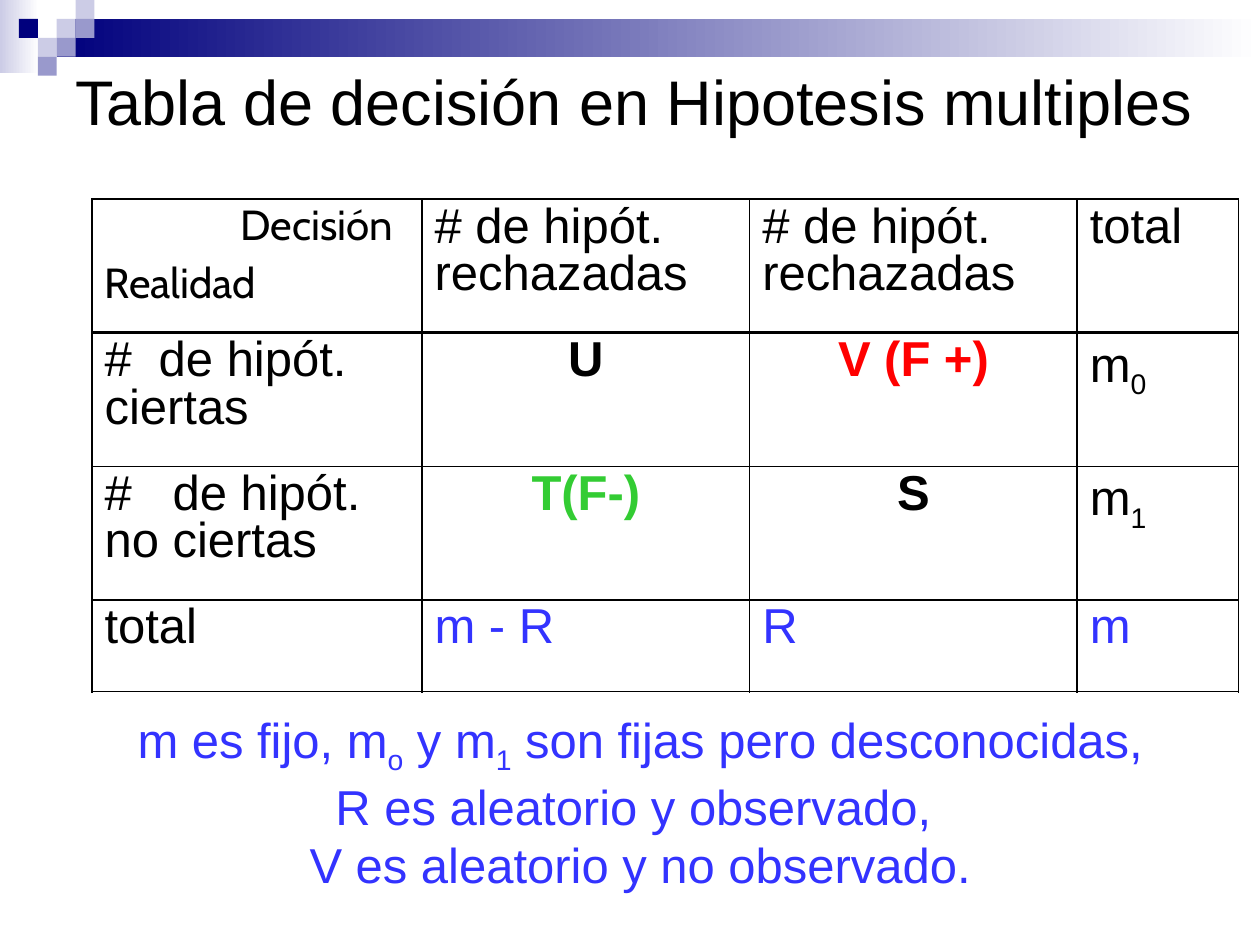
from lxml import etree
from pptx import Presentation
from pptx import util as u
from pptx.dml.color import RGBColor
from pptx.enum import shapes, text
from pptx.oxml import ns

BLACK = RGBColor(0x00, 0x00, 0x00)
WHITE = RGBColor(0xFF, 0xFF, 0xFF)
NAVY = RGBColor(0x00, 0x00, 0x7D)
LILAC = RGBColor(0xCC, 0xCC, 0xE6)
VIOLET = RGBColor(0x99, 0x99, 0xCC)
RED = RGBColor(0xFF, 0x00, 0x00)
GREEN = RGBColor(0x33, 0xCC, 0x33)
BLUE = RGBColor(0x33, 0x33, 0xFF)

deck = Presentation()
deck.slide_width, deck.slide_height = u.Inches(10), u.Inches(7.5)
page = deck.slides.add_slide(deck.slide_layouts[6])


def write(para, wording, color=BLACK, **changes):
    """Fill a paragraph; every second piece between underscores is a subscript."""
    looks = {"name": "Arial", "size": u.Pt(28), "bold": False} | changes
    for index, piece in enumerate(wording.split("_")):
        for position, line in enumerate(piece.split("\n")):
            if position:
                para.add_line_break()
            if not line:
                continue
            span = para.add_run()
            span.text = line
            span.font.color.rgb = color
            for key, value in looks.items():
                setattr(span.font, key, value)
            if index % 2:
                span.font._element.set("baseline", "-25000")


def add_block(left, top, width, height):
    """Add a borderless rectangle placed in inches."""
    block = page.shapes.add_shape(shapes.MSO_SHAPE.RECTANGLE,
                                  *map(u.Inches, (left, top, width, height)))
    block.shadow.inherit = False
    block.line.fill.background()
    return block


# Corner ornament on a grid of small squares
UNIT = 0.15
fades = [((0, 0, 0.31, 0.58), LILAC),
         ((3 * UNIT, UNIT, 10 - 3 * UNIT, 2 * UNIT), NAVY)]
for place, start in fades:
    fill = add_block(*place).fill
    fill.gradient()
    fill.gradient_angle = 0
    for stop, color in zip(fill.gradient_stops, (start, WHITE)):
        stop.color.rgb = color

squares = [(3, 1, LILAC), (4, 0, LILAC), (4, 1, VIOLET), (2, 2, LILAC),
           (1, 1, NAVY), (3, 2, VIOLET), (2, 3, VIOLET)]
for column, row, color in squares:
    fill = add_block(column * UNIT, row * UNIT, UNIT, UNIT).fill
    fill.solid()
    fill.fore_color.rgb = color

# Title and closing remark
remark = ("m es fijo, m_o_ y m_1_ son fijas pero desconocidas, "
          "R es aleatorio y observado, \nV es aleatorio y no observado.")
boxes = [
    ((0.5, 0.17, 9.15, 1.25), "Tabla de decisión en Hipotesis multiples",
     BLACK, 36, text.MSO_ANCHOR.MIDDLE, text.PP_ALIGN.LEFT),
    ((0.83, 5.58, 8.5, 1.57), remark,
     BLUE, 28, text.MSO_ANCHOR.TOP, text.PP_ALIGN.CENTER),
]
for place, wording, color, size, anchor, alignment in boxes:
    frame = page.shapes.add_textbox(*map(u.Inches, place)).text_frame
    frame.word_wrap = True
    frame.vertical_anchor = anchor
    para = frame.paragraphs[0]
    para.alignment = alignment
    write(para, wording, color, size=u.Pt(size))

# Decision table
COLUMNS = [2.62, 2.6, 2.6, 1.28]
ROWS = [1.06, 1.06, 1.06, 0.73]
RULES = [1.08, 1.47, 0.45, 1.47, 1.08]  # line widths, the same across and down
CONTENT = [
    ["", "# de hipót. rechazadas", "# de hipót. rechazadas", "total"],
    ["#\tde hipót. ciertas", "U", "V (F +)", "m_0_"],
    ["#\tde hipót. no ciertas", "T(F-)", "S", "m_1_"],
    ["total", "m - R", "R", "m"],
]
COLORS = {(1, 2): RED, (2, 1): GREEN, (3, 1): BLUE, (3, 2): BLUE, (3, 3): BLUE}
TAB_STOPS = {1: 0.43, 2: 0.54}

table = page.shapes.add_table(
    len(ROWS), len(COLUMNS), u.Inches(0.73), u.Inches(1.58),
    u.Inches(sum(COLUMNS)), u.Inches(sum(ROWS))).table
table.first_row = table.horz_banding = False
for column, width in zip(table.columns, COLUMNS):
    column.width = u.Inches(width)
for row, height in zip(table.rows, ROWS):
    row.height = u.Inches(height)

for r, wordings in enumerate(CONTENT):
    for c, wording in enumerate(wordings):
        cell = table.cell(r, c)
        edges = {"lnL": RULES[c], "lnR": RULES[c + 1],
                 "lnT": RULES[r], "lnB": RULES[r + 1]}
        for tag, width in edges.items():
            line = etree.SubElement(cell._tc.get_or_add_tcPr(),
                                    ns.qn(f"a:{tag}"), w=str(u.Pt(width)))
            solid = etree.SubElement(line, ns.qn("a:solidFill"))
            etree.SubElement(solid, ns.qn("a:srgbClr"), val=str(BLACK))
        cell.fill.background()
        para = cell.text_frame.paragraphs[0]
        if not wording:
            continue
        para.line_spacing = 0.87
        if "\t" in wording:
            tabs = etree.SubElement(para._p.get_or_add_pPr(), ns.qn("a:tabLst"))
            etree.SubElement(tabs, ns.qn("a:tab"), algn="l",
                             pos=str(u.Inches(TAB_STOPS[r])))
        central = r in (1, 2) and c in (1, 2)
        if central:
            para.alignment = text.PP_ALIGN.CENTER
        write(para, wording, COLORS.get((r, c), BLACK), bold=central)

corner = table.cell(0, 0).text_frame
corner.add_paragraph()
headings = [("Decisión", 0.86, 1.08), ("Realidad", 1.17, 0)]
for para, (wording, spacing, indent) in zip(corner.paragraphs, headings):
    para.line_spacing = spacing
    para._p.get_or_add_pPr().set("marL", str(u.Inches(indent)))
    write(para, wording, name="Cabin", size=u.Pt(24))

deck.save("out.pptx")
